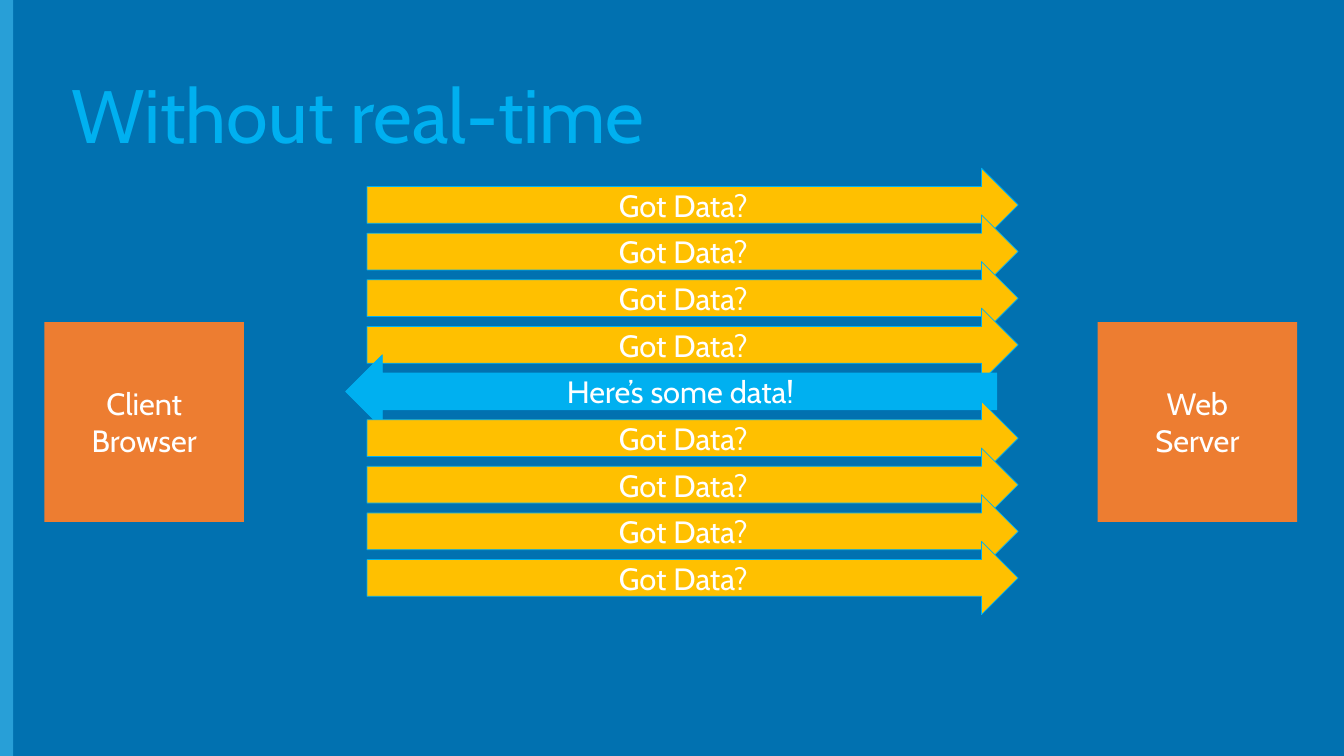
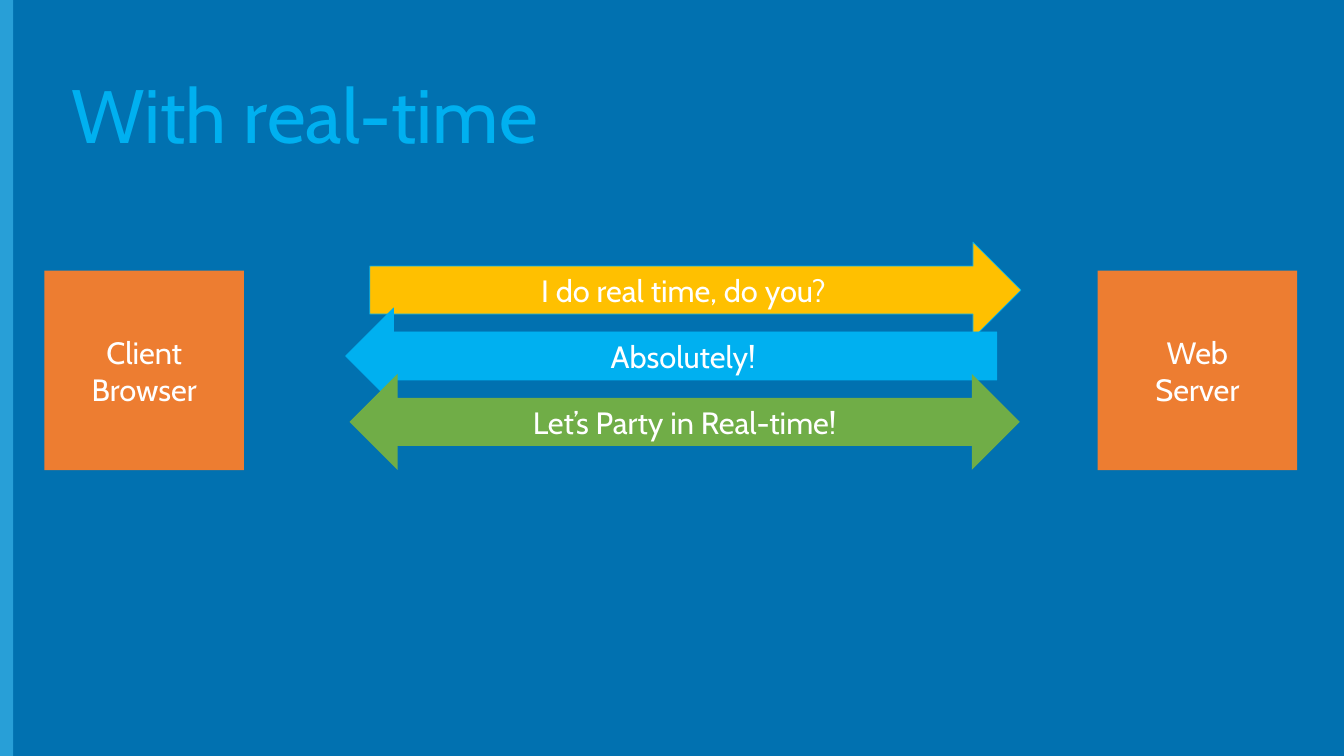
"""Build two slides comparing polling with real-time messaging."""
from dataclasses import dataclass
from typing import Any

from pptx import Presentation
from pptx.dml.color import RGBColor
from pptx.enum.shapes import MSO_SHAPE
from pptx.enum.text import MSO_ANCHOR, PP_ALIGN
from pptx.presentation import Presentation as Deck
from pptx.slide import Slide
from pptx.text.text import TextFrame
from pptx.util import Cm, Pt

COLORS = {
    "background": "0171B0",
    "band": "289FD7",
    "box": "ED7D31",
    "request": "FFC000",
    "response": "00B0F0",
    "dialogue": "70AD47",
    "title": "00B0F0",
    "outline": "00B0F0",
    "label": "FFFFFF",
}
SLIDE_WIDTH, SLIDE_HEIGHT = 33.87, 19.05
BOX_SIZE = 5.03
ARROW_WIDTH = 16.41
RESPONSE_LEFT = 8.71
FRAME_FORMAT = {"word_wrap": True, "vertical_anchor": MSO_ANCHOR.MIDDLE}
LABEL_PARAGRAPH = {"alignment": PP_ALIGN.CENTER}
LABEL_FONT = {"name": "Cabin", "size": Pt(22)}
TITLE_PARAGRAPH = {"alignment": PP_ALIGN.LEFT, "line_spacing": 0.9}
TITLE_FONT = {"name": "Cabin", "size": Pt(54)}


@dataclass(frozen=True)
class Block:
    """A filled shape with an optional label, measured in centimetres."""

    left: float
    top: float
    width: float
    height: float
    color: str
    label: str = ""
    kind: MSO_SHAPE = MSO_SHAPE.RECTANGLE
    outlined: bool = False


def rgb(name: str) -> RGBColor:
    """Look up a named colour."""
    return RGBColor.from_string(COLORS[name])


def apply_format(target: Any, values: dict[str, Any]) -> None:
    """Set each named attribute on the target."""
    for name, value in values.items():
        setattr(target, name, value)


def write_text(frame: TextFrame, text: str, color: str,
               paragraph_format: dict[str, Any], font_format: dict[str, Any]) -> None:
    """Fill a text frame with one formatted paragraph."""
    apply_format(frame, FRAME_FORMAT)
    paragraph = frame.paragraphs[0]
    paragraph.text = text
    apply_format(paragraph, paragraph_format)
    for run in paragraph.runs:
        apply_format(run.font, font_format)
        run.font.color.rgb = rgb(color)


def draw_block(slide: Slide, block: Block) -> None:
    """Draw one block with its label."""
    shape = slide.shapes.add_shape(
        block.kind, Cm(block.left), Cm(block.top), Cm(block.width), Cm(block.height))
    shape.shadow.inherit = False
    shape.fill.solid()
    shape.fill.fore_color.rgb = rgb(block.color)
    if block.outlined:
        shape.line.color.rgb = rgb("outline")
        shape.line.width = Pt(0.5)
    else:
        shape.line.fill.background()
    if block.label:
        write_text(shape.text_frame, block.label, "label", LABEL_PARAGRAPH, LABEL_FONT)


def request(left: float, top: float, height: float, label: str) -> Block:
    """Describe an arrow from the client to the server."""
    return Block(left, top, ARROW_WIDTH, height, "request", label,
                 MSO_SHAPE.RIGHT_ARROW, True)


def response(top: float, height: float, label: str) -> Block:
    """Describe an arrow from the server to the client."""
    return Block(RESPONSE_LEFT, top, ARROW_WIDTH, height, "response", label,
                 MSO_SHAPE.LEFT_ARROW, True)


def polling_arrows() -> list[Block]:
    """Describe nine evenly spaced arrows with the only answer in the middle."""
    first_top, last_top, count, height = 4.24, 13.64, 9, 1.85
    pitch = (last_top - first_top) / (count - 1)
    tops = [first_top + row * pitch for row in range(count)]
    return [
        response(top, height, "Here’s some data!") if row == count // 2
        else request(9.25, top, height, "Got Data?")
        for row, top in enumerate(tops)
    ]


def realtime_arrows() -> list[Block]:
    """Describe the handshake and the two-way conversation."""
    first_top, pitch, height = 6.1, 1.66, 2.42
    return [
        request(9.32, first_top, height, "I do real time, do you?"),
        response(first_top + pitch, height, "Absolutely!"),
        Block(8.81, first_top + 2 * pitch, 16.89, height, "dialogue",
              "Let’s Party in Real-time!", MSO_SHAPE.LEFT_RIGHT_ARROW),
    ]


def add_exchange(presentation: Deck, title: str, box_top: float,
                 arrows: list[Block]) -> None:
    """Add a slide with a title, both endpoints and the arrows between them."""
    slide = presentation.slides.add_slide(presentation.slide_layouts[6])
    blocks = [
        Block(0, 0, 0.33, SLIDE_HEIGHT, "band"),
        Block(1.12, box_top, BOX_SIZE, BOX_SIZE, "box", "Client Browser"),
        Block(27.66, box_top, BOX_SIZE, BOX_SIZE, "box", "Web\nServer"),
        *arrows,
    ]
    for block in blocks:
        draw_block(slide, block)
    title_box = slide.shapes.add_textbox(Cm(1.55), Cm(1.17), Cm(30.78), Cm(3.68))
    write_text(title_box.text_frame, title, "title", TITLE_PARAGRAPH, TITLE_FONT)


def main() -> None:
    """Build and save the presentation."""
    presentation = Presentation()
    presentation.slide_width = Cm(SLIDE_WIDTH)
    presentation.slide_height = Cm(SLIDE_HEIGHT)
    background = presentation.slide_master.background.fill
    background.solid()
    background.fore_color.rgb = rgb("background")
    add_exchange(presentation, "Without real-time", 8.12, polling_arrows())
    add_exchange(presentation, "With real-time", 6.82, realtime_arrows())
    presentation.save("out.pptx")


main()
